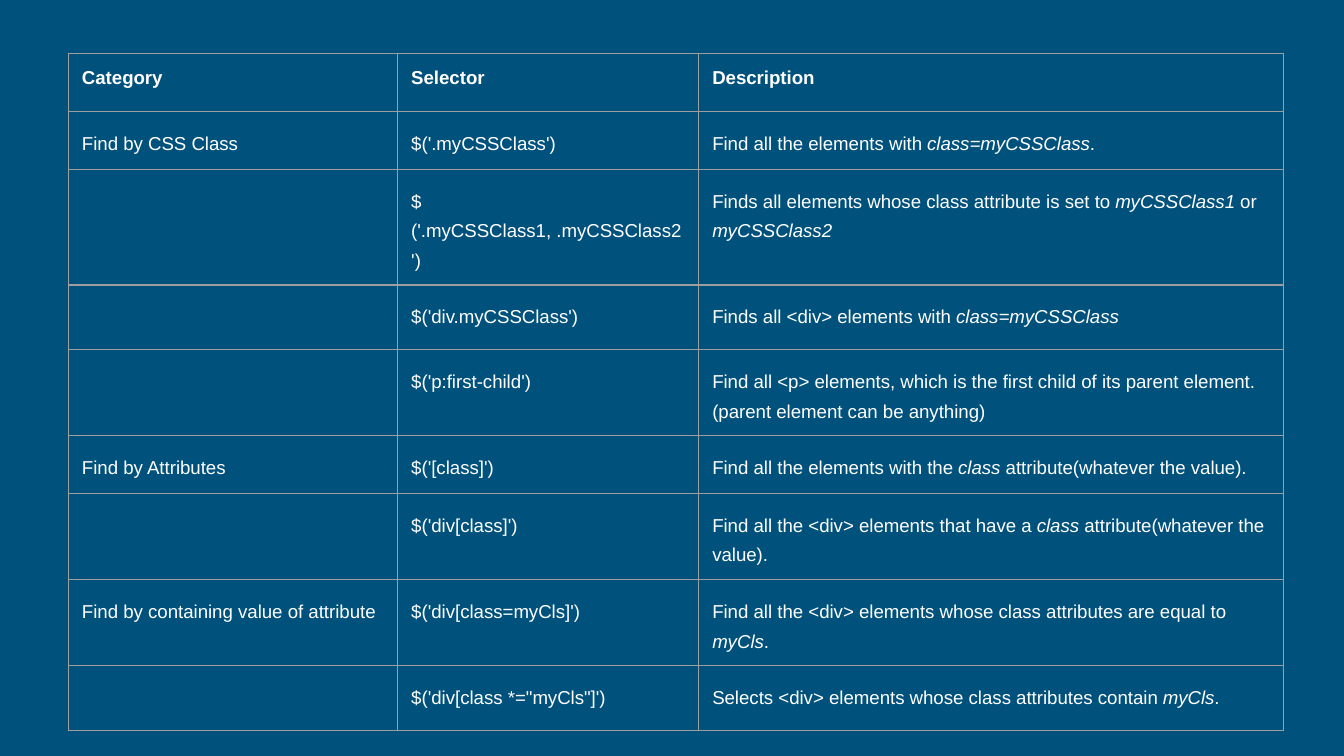
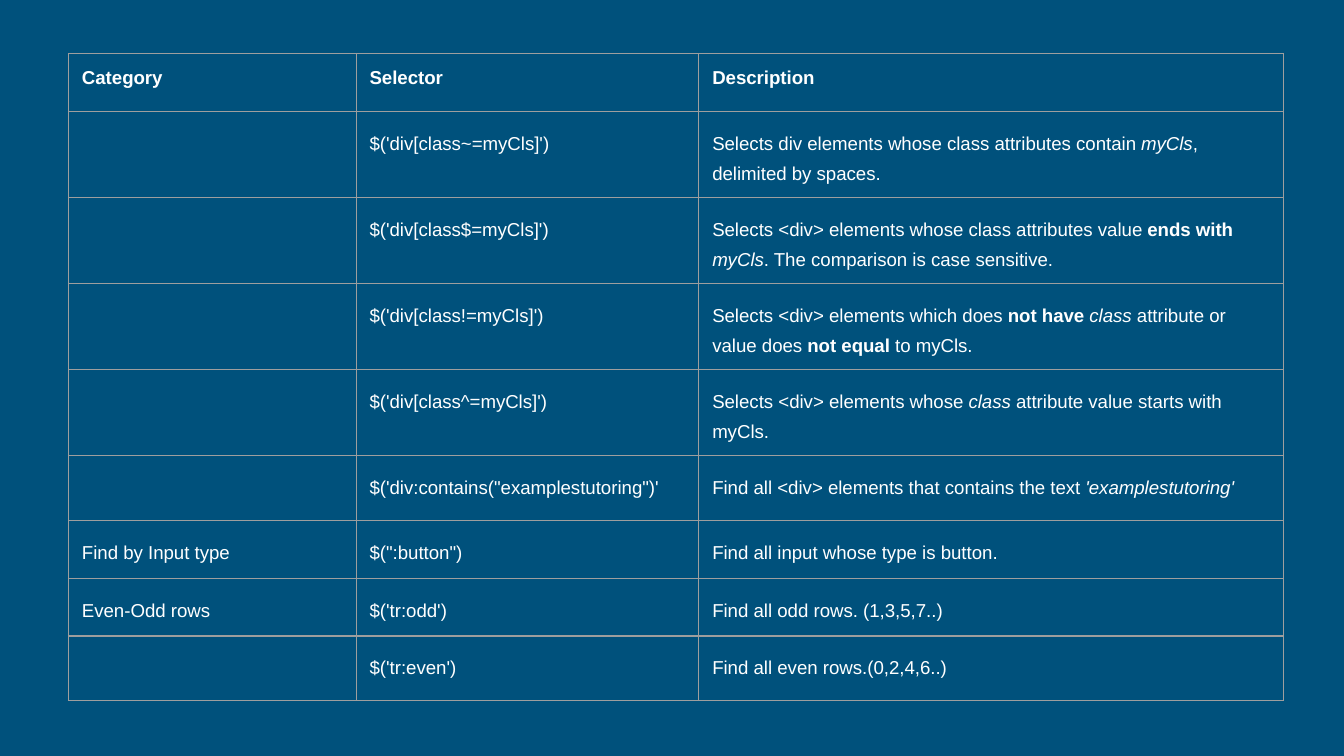
import pptx
import pptx.util
import pptx.dml.color
import pptx.oxml
import pptx.oxml.ns
import lxml.etree

Inches = pptx.util.Inches
COLORS = {"background": "00517C", "text": "FFFFFF", "border": "9E9E9E"}
FONT = "Arial"
TABLE_LEFT, TABLE_TOP, ROW_HEIGHT, MARGIN = 0.51, 0.4, 0.43, 0.1
BODY_SPACING = 1.42
HEADINGS = ("Category", "Selector", "Description")
BOLD, ITALIC = {"bold": True}, {"italic": True}


def add_span(para, text, bold=False, italic=False, size=10, color="text"):
    span = para.add_run()
    span.text = text
    span.font.name = FONT
    span.font.size = pptx.util.Pt(size)
    span.font.bold = bold
    span.font.italic = italic
    span.font.color.rgb = pptx.dml.color.RGBColor.from_string(COLORS[color])


def add_borders(cell, color="border", width=0.75):
    properties = cell._tc.get_or_add_tcPr()
    for side in ("lnL", "lnR", "lnT", "lnB"):
        line = lxml.etree.SubElement(properties, pptx.oxml.ns.qn(f"a:{side}"))
        line.set("w", str(pptx.util.Pt(width)))
        fill = lxml.etree.SubElement(line, pptx.oxml.ns.qn("a:solidFill"))
        lxml.etree.SubElement(fill, pptx.oxml.ns.qn("a:srgbClr")).set("val", COLORS[color])


# Table content: category, selector, then the description as spans;
# a span with its own format is a pair of text and format
class_and_attribute_rows = [
    ("Find by CSS Class", "$('.myCSSClass')",
     ["Find all the elements with ", ("class=myCSSClass", ITALIC), "."]),
    ("", "$('.myCSSClass1, .myCSSClass2 ')",
     ["Finds all elements whose class attribute is set to ",
      ("myCSSClass1", ITALIC), " or ", ("myCSSClass2", ITALIC)]),
    ("", "$('div.myCSSClass')",
     ["Finds all <div> elements with ", ("class=myCSSClass", ITALIC)]),
    ("", "$('p:first-child')",
     ["Find all <p> elements, which is the first child of its parent element. "
      "(parent element can be anything)"]),
    ("Find by Attributes", "$('[class]')",
     ["Find all the elements with the ", ("class ", ITALIC),
      "attribute(whatever the value)."]),
    ("", "$('div[class]')",
     ["Find all the <div> elements that have a ", ("class", ITALIC),
      " attribute(whatever the value)."]),
    ("Find by containing value of attribute", "$('div[class=myCls]')",
     ["Find all the <div> elements whose class attributes are equal to ",
      ("myCls", ITALIC), "."]),
    ("", "$('div[class *=\"myCls\"]')",
     ["Selects <div> elements whose class attributes contain ", ("myCls", ITALIC), "."]),
]
value_and_input_rows = [
    ("", "$('div[class~=myCls]')",
     ["Selects div elements whose class attributes contain ", ("myCls", ITALIC),
      ", delimited by spaces."]),
    ("", "$('div[class$=myCls]')",
     ["Selects <div> elements whose class attributes value ", ("ends with ", BOLD),
      ("myCls", ITALIC), ". The comparison is case sensitive."]),
    ("", "$('div[class!=myCls]')",
     ["Selects <div> elements which does ", ("not have ", BOLD), ("class", ITALIC),
      " attribute or value does ", ("not equal", BOLD), " to myCls."]),
    ("", "$('div[class^=myCls]')",
     ["Selects <div> elements whose ", ("class ", ITALIC),
      "attribute value starts with myCls."]),
    ("", "$('div:contains(\"examplestutoring\")'",
     ["Find all <div> elements that contains the text ", ("'examplestutoring'", ITALIC)]),
    ("Find by Input type", "$(\":button\")", ["Find all input whose type is button."]),
    ("Even-Odd rows", "$('tr:odd')", ["Find all odd rows. (1,3,5,7..)"]),
    ("", "$('tr:even')", ["Find all even rows.(0,2,4,6..)"]),
]
selector_tables = [
    ((2.45, 2.24, 4.35), class_and_attribute_rows),
    ((2.14, 2.55, 4.35), value_and_input_rows),
]

# Widescreen deck, 16 to 9
deck = pptx.Presentation()
deck.slide_width = Inches(10)
deck.slide_height = Inches(10 * 9 / 16)

for column_widths, body_rows in selector_tables:
    # Page with a plain background
    page = deck.slides.add_slide(deck.slide_layouts[6])
    page.background.fill.solid()
    page.background.fill.fore_color.rgb = pptx.dml.color.RGBColor.from_string(COLORS["background"])

    # Table grid
    row_count = len(body_rows) + 1
    table = page.shapes.add_table(
        row_count, len(HEADINGS), Inches(TABLE_LEFT), Inches(TABLE_TOP),
        Inches(sum(column_widths)), Inches(ROW_HEIGHT * row_count)).table
    table.first_row = table.horz_banding = False
    for column, width in zip(table.columns, column_widths):
        column.width = Inches(width)

    # Cells
    heading_row = tuple([(heading, BOLD)] for heading in HEADINGS)
    for row_index, contents in enumerate([heading_row, *body_rows]):
        table.rows[row_index].height = Inches(ROW_HEIGHT)
        for column_index, content in enumerate(contents):
            cell = table.cell(row_index, column_index)
            cell.margin_left = cell.margin_right = Inches(MARGIN)
            cell.margin_top = cell.margin_bottom = Inches(MARGIN)
            add_borders(cell)
            cell.fill.background()
            para = cell.text_frame.paragraphs[0]
            if not content:
                # An empty cell keeps an 18 pt line, which sets its row height
                end = lxml.etree.SubElement(para._p, pptx.oxml.ns.qn("a:endParaRPr"), sz="1800")
                lxml.etree.SubElement(end, pptx.oxml.ns.qn("a:latin"), typeface=FONT)
                continue
            if row_index > 0:
                para.line_spacing = BODY_SPACING
            for part in [content] if isinstance(content, str) else content:
                text, style = (part, {}) if isinstance(part, str) else part
                add_span(para, text, **style)

deck.save("out.pptx")
